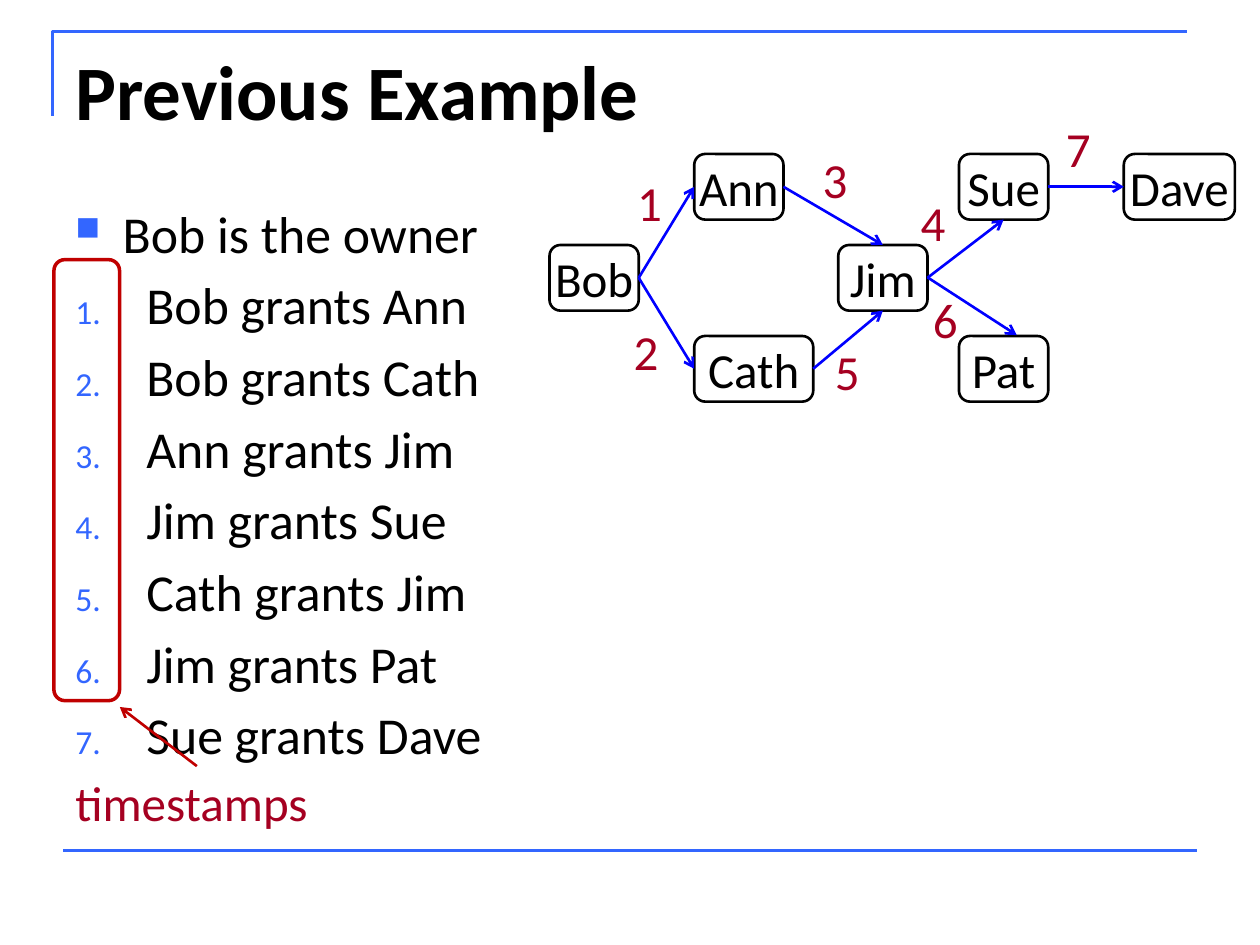
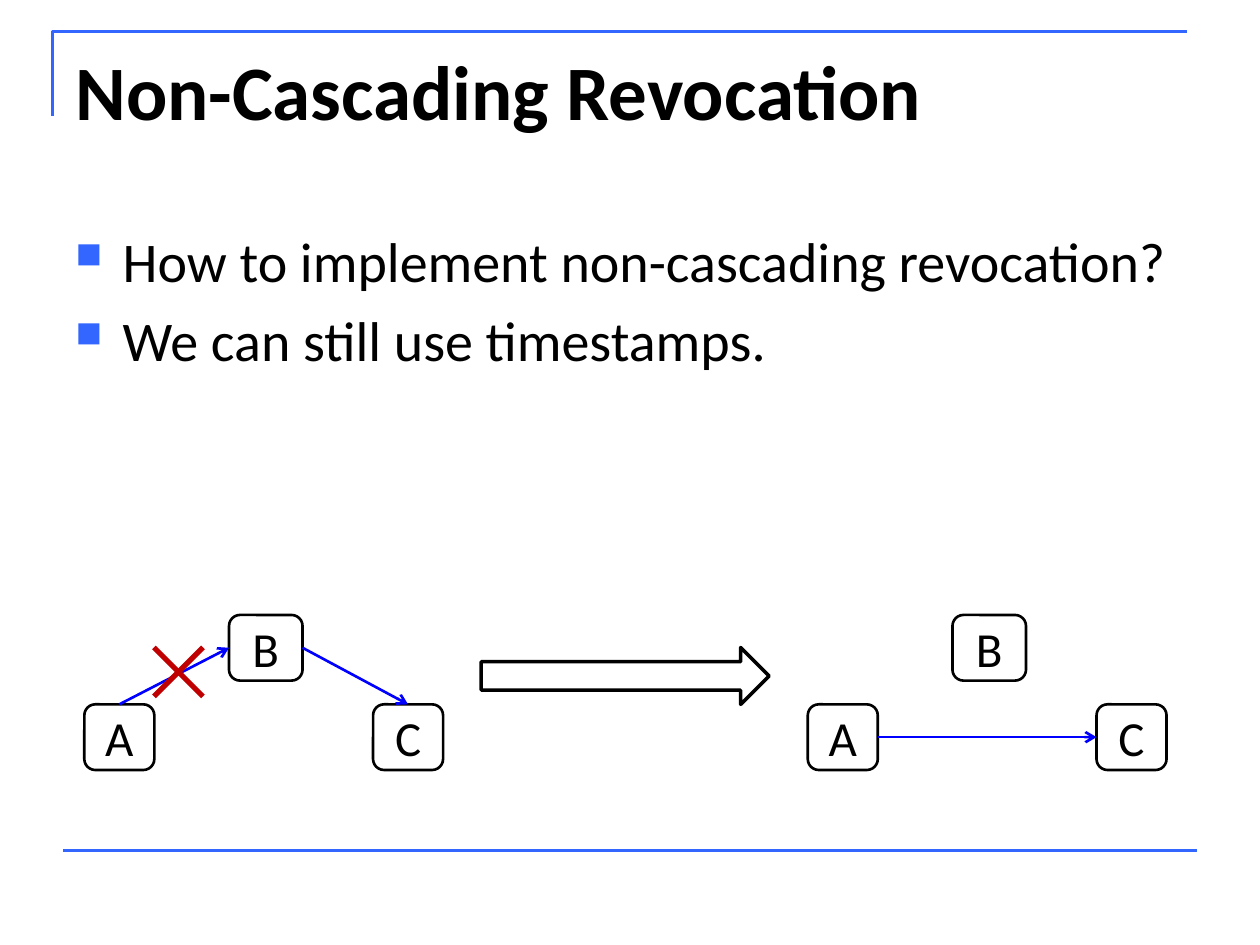
from lxml.etree import SubElement as Sub
from pptx import Presentation
from pptx.dml.color import RGBColor as Rgb
from pptx.enum.shapes import MSO_CONNECTOR as Conn, MSO_SHAPE as Kind
from pptx.enum.text import MSO_ANCHOR as Anchor, PP_ALIGN as Align
from pptx.oxml.ns import qn
from pptx.util import Pt

HUES = {
    "text": "000000",
    "paper": "FFFFFF",
    "frame": "3366FF",
    "link": "0000FF",
    "mark": "C00000",
    "label": "A50021",
}
FONT = "Calibri"
TOP, LEFT, FOOT, RIGHT = range(4)  # connection sites of a node
SQUARE = ("buChar", {"char": "■"}, 27)
NUMBER = ("buAutoNum", {"type": "arabicPeriod"}, 40.5)


def hue(name):
    return Rgb.from_string(HUES[name])


def bullet(para, mark):
    """Add a small coloured bullet with a hanging indent."""
    tag, attrs, indent = mark
    props = para._p.get_or_add_pPr()
    props.set("marL", str(Pt(indent)))
    props.set("indent", str(-Pt(indent)))
    color = Sub(props, qn("a:buClr"))
    Sub(color, qn("a:srgbClr"), val=HUES["frame"])
    Sub(props, qn("a:buSzPct"), val="65000")
    Sub(props, qn("a:" + tag), attrs)


def write(para, text, size=28, color="text", bold=False, align=Align.LEFT,
          mark=None, before=0):
    if mark:
        bullet(para, mark)
    para.alignment = align
    para.space_before = Pt(before)
    run = para.add_run()
    run.text = text
    font = run.font
    font.name, font.size, font.bold = FONT, Pt(size), bold
    font.color.rgb = hue(color)


class Deck:
    def __init__(self):
        self.prs = Presentation()
        self.prs.slide_width, self.prs.slide_height = Pt(720), Pt(540)
        self.shapes = None

    def page(self, title):
        """Start a slide with the shared frame lines and title."""
        slide = self.prs.slides.add_slide(self.prs.slide_layouts[6])
        self.shapes = slide.shapes
        pen = self.shapes.build_freeform(Pt(30.2), Pt(66.2))
        pen.add_line_segments([(Pt(30.2), Pt(18)), (Pt(678.2), Pt(18))],
                              close=False)
        self.style(pen.convert_to_shape(), "frame", 1.5)
        self.line(36, 486, 684, 486, "frame")
        self.label(title, 36, 21.6, 648, 90, size=44, bold=True)

    def style(self, shape, color, width, fill=None):
        shape.shadow.inherit = False
        if fill:
            shape.fill.solid()
            shape.fill.fore_color.rgb = hue(fill)
        else:
            shape.fill.background()
        shape.line.color.rgb = hue(color)
        shape.line.width = Pt(width)
        return shape

    def shape(self, kind, x, y, w, h, color, width=2, fill=None):
        box = self.shapes.add_shape(kind, Pt(x), Pt(y), Pt(w), Pt(h))
        return self.style(box, color, width, fill)

    def node(self, name, x, y, w):
        box = self.shape(Kind.ROUNDED_RECTANGLE, x, y, w, 37.5,
                         "text", 1.5, "paper")
        frame = box.text_frame
        frame.margin_left = frame.margin_right = 0
        frame.margin_top = frame.margin_bottom = 0
        frame.vertical_anchor = Anchor.MIDDLE
        write(frame.paragraphs[0], name, align=Align.CENTER)
        return box

    def line(self, x1, y1, x2, y2, color, width=1.5, arrow=False):
        line = self.shapes.add_connector(
            Conn.STRAIGHT, Pt(x1), Pt(y1), Pt(x2), Pt(y2))
        line.line.color.rgb = hue(color)
        line.line.width = Pt(width)
        props = line._element.spPr
        if arrow:
            Sub(props.find(qn("a:ln")), qn("a:tailEnd"), type="arrow")
        Sub(props, qn("a:effectLst"))
        return line

    def link(self, start, out, end, into):
        """Draw an arrow between connection sites of two nodes."""
        line = self.line(0, 0, 0, 0, "link", arrow=True)
        line.begin_connect(start, out)
        line.end_connect(end, into)

    def frame(self, x, y, w, h, wrap=True):
        frame = self.shapes.add_textbox(Pt(x), Pt(y), Pt(w), Pt(h)).text_frame
        frame.word_wrap = wrap
        return frame

    def label(self, text, x, y, w=29, h=41, wrap=True, **look):
        write(self.frame(x, y, w, h, wrap).paragraphs[0], text, **look)

    def points(self, items, x, y, w, h, size, gap):
        """Fill a box with (text, mark) paragraphs."""
        frame = self.frame(x, y, w, h)
        for i, (text, mark) in enumerate(items):
            para = frame.add_paragraph() if i else frame.paragraphs[0]
            write(para, text, size=size, mark=mark, before=gap if i else 0)


def grants(deck):
    deck.page("Previous Example")
    pairs = ["Bob Ann", "Bob Cath", "Ann Jim", "Jim Sue", "Cath Jim",
             "Jim Pat", "Sue Dave"]
    items = [("Bob is the owner", SQUARE)]
    items += [(pair.replace(" ", " grants "), NUMBER) for pair in pairs]
    deck.points(items, 36, 111.6, 273, 371, size=29.6, gap=5.4)

    places = {
        "Bob": (314, 1, 51), "Ann": (396.7, 0, 51), "Cath": (396.7, 2, 68),
        "Jim": (479, 1, 51), "Sue": (548, 0, 51), "Pat": (548, 2, 51),
        "Dave": (642.2, 0, 63.5),
    }
    nodes = {name: deck.node(name, x, 88 + 52 * row, w)
             for name, (x, row, w) in places.items()}
    sites = {"Ann Jim": TOP, "Jim Sue": FOOT, "Cath Jim": FOOT}
    for pair in pairs:
        if pair != "Jim Pat":
            start, end = pair.split()
            deck.link(nodes[start], RIGHT, nodes[end], sites.get(pair, LEFT))
    deck.line(530, 158.5, 581, 191.5, "link", arrow=True)

    deck.shape(Kind.ROUNDED_RECTANGLE, 30.8, 148.4, 37.5, 252, "mark")
    deck.label("timestamps", 36, 437.8, 153, color="label")
    deck.line(112.5, 437.8, 68.5, 404, "mark", arrow=True)
    spots = [(357, 95), (355, 180), (463, 82), (519, 106.5), (470, 191.5),
             (526, 162), (602, 64)]
    for i, (x, y) in enumerate(spots, 1):
        deck.label(str(i), x, y, wrap=False, color="label")


def trio(deck, x):
    """Place nodes A, B and C in a triangle that starts at x."""
    return [deck.node("A", x, 402.5, 40), deck.node("B", x + 82.7, 351.4, 42),
            deck.node("C", x + 165, 402.5, 40)]


def revoke(deck):
    deck.page("Non-Cascading Revocation")
    items = ["How to implement non-cascading revocation?",
             "We can still use timestamps."]
    deck.points([(text, SQUARE) for text in items],
                36, 126, 648, 356, size=32, gap=6.4)

    a, b, c = trio(deck, 48.2)
    deck.link(a, TOP, b, LEFT)
    deck.link(b, RIGHT, c, TOP)
    for y1, y2 in ((370, 398), (398, 370)):
        deck.line(88, y1, 116, y2, "mark", 3)
    deck.shape(Kind.RIGHT_ARROW, 275, 370, 164.5, 32.5, "text")
    a, b, c = trio(deck, 461.6)
    deck.link(a, RIGHT, c, LEFT)


def main():
    deck = Deck()
    grants(deck)
    revoke(deck)
    deck.prs.save("out.pptx")


if __name__ == "__main__":
    main()
